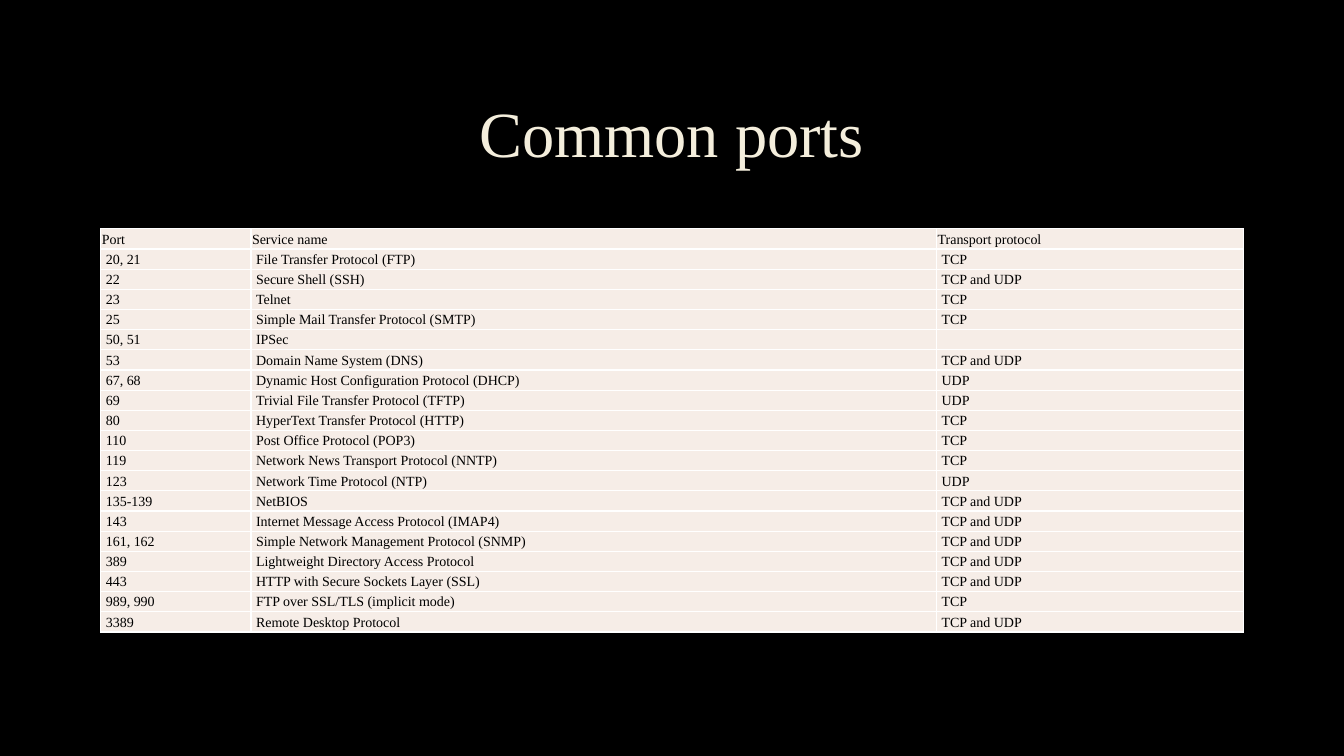
from dataclasses import dataclass

from lxml.etree import SubElement
from pptx import Presentation
from pptx.dml.color import RGBColor
from pptx.enum.text import MSO_ANCHOR, PP_ALIGN
from pptx.oxml.ns import qn
from pptx.util import Inches, Pt


@dataclass(frozen=True)
class Theme:
    """Colours, font and type sizes of the slide."""
    font: str = "Times New Roman"
    background: str = "000000"
    title: str = "F4EEDC"
    ink: str = "000000"
    cell: str = "F6EDE7"
    rule: str = "FFFFFF"
    title_size: int = 46
    cell_size: int = 10


HEADINGS = ("Port", "Service name", "Transport protocol")
PORTS = [
    ("20, 21", "File Transfer Protocol (FTP)", "TCP"),
    ("22", "Secure Shell (SSH)", "TCP and UDP"),
    ("23", "Telnet", "TCP"),
    ("25", "Simple Mail Transfer Protocol (SMTP)", "TCP"),
    ("50, 51", "IPSec", ""),
    ("53", "Domain Name System (DNS)", "TCP and UDP"),
    ("67, 68", "Dynamic Host Configuration Protocol (DHCP)", "UDP"),
    ("69", "Trivial File Transfer Protocol (TFTP)", "UDP"),
    ("80", "HyperText Transfer Protocol (HTTP)", "TCP"),
    ("110", "Post Office Protocol (POP3)", "TCP"),
    ("119", "Network News Transport Protocol (NNTP)", "TCP"),
    ("123", "Network Time Protocol (NTP)", "UDP"),
    ("135-139", "NetBIOS", "TCP and UDP"),
    ("143", "Internet Message Access Protocol (IMAP4)", "TCP and UDP"),
    ("161, 162", "Simple Network Management Protocol (SNMP)", "TCP and UDP"),
    ("389", "Lightweight Directory Access Protocol", "TCP and UDP"),
    ("443", "HTTP with Secure Sockets Layer (SSL)", "TCP and UDP"),
    ("989, 990", "FTP over SSL/TLS (implicit mode)", "TCP"),
    ("3389", "Remote Desktop Protocol", "TCP and UDP"),
]
COLUMN_WIDTHS = (1.49, 6.8, 3.04)
ROW_HEIGHT = 0.2
HEADING_INSET = 0.01
ENTRY_INSET = 0.05


def write(frame, text, *, font, size, color, align=PP_ALIGN.LEFT, spacing=1.0):
    """Fill a text frame with one formatted paragraph."""
    paragraph = frame.paragraphs[0]
    paragraph.alignment = align
    paragraph.line_spacing = spacing
    if not text:
        SubElement(paragraph._p, qn("a:endParaRPr"), sz=str(size * 100))
        return
    run = paragraph.add_run()
    run.text = text
    run.font.name = font
    run.font.size = Pt(size)
    run.font.color.rgb = RGBColor.from_string(color)


class PortSlide:
    """Hold the theme and the current slide."""

    def __init__(self, slide, theme):
        """Set the slide background."""
        self.slide = slide
        self.theme = theme
        fill = slide.background.fill
        fill.solid()
        fill.fore_color.rgb = RGBColor.from_string(theme.background)

    def title(self, text, left, top, width, height):
        """Add the centred heading."""
        heading = self.slide.shapes.add_textbox(
            Inches(left), Inches(top), Inches(width), Inches(height))
        frame = heading.text_frame
        frame.word_wrap = True
        frame.vertical_anchor = MSO_ANCHOR.MIDDLE
        write(frame, text, font=self.theme.font, size=self.theme.title_size,
              color=self.theme.title, align=PP_ALIGN.CENTER, spacing=0.9)

    def table(self, rows, left, top):
        """Add the table of ports, headings first."""
        ports = self.slide.shapes.add_table(
            len(rows), len(COLUMN_WIDTHS), Inches(left), Inches(top),
            Inches(sum(COLUMN_WIDTHS)), Inches(ROW_HEIGHT * len(rows))).table
        ports.first_row = ports.horz_banding = False
        for column, width in zip(ports.columns, COLUMN_WIDTHS):
            column.width = Inches(width)
        for index, (row, entries) in enumerate(zip(ports.rows, rows)):
            row.height = Inches(ROW_HEIGHT)
            inset = ENTRY_INSET if index else HEADING_INSET
            for cell, entry in zip(row.cells, entries):
                self.cell(cell, entry, inset)

    def cell(self, cell, text, inset):
        """Style and fill one table cell."""
        cell.margin_left = Inches(inset)
        cell.margin_right = cell.margin_top = Inches(0.01)
        cell.margin_bottom = 0
        cell.vertical_anchor = MSO_ANCHOR.MIDDLE
        properties = cell._tc.get_or_add_tcPr()
        for side in "LRTB":
            border = SubElement(properties, qn(f"a:ln{side}"), w=str(Pt(1)))
            solid = SubElement(border, qn("a:solidFill"))
            SubElement(solid, qn("a:srgbClr"), val=self.theme.rule)
        cell.fill.solid()
        cell.fill.fore_color.rgb = RGBColor.from_string(self.theme.cell)
        write(cell.text_frame, text, font=self.theme.font,
              size=self.theme.cell_size, color=self.theme.ink)


def main():
    """Build and save the slide."""
    deck = Presentation()
    deck.slide_width, deck.slide_height = Inches(13.33), Inches(7.5)
    page = PortSlide(deck.slides.add_slide(deck.slide_layouts[6]), Theme())
    page.title("Common ports", 1, 0.67, 11.32, 1.38)
    page.table([HEADINGS, *PORTS], 1, 2.27)
    deck.save("out.pptx")


if __name__ == "__main__":
    main()
